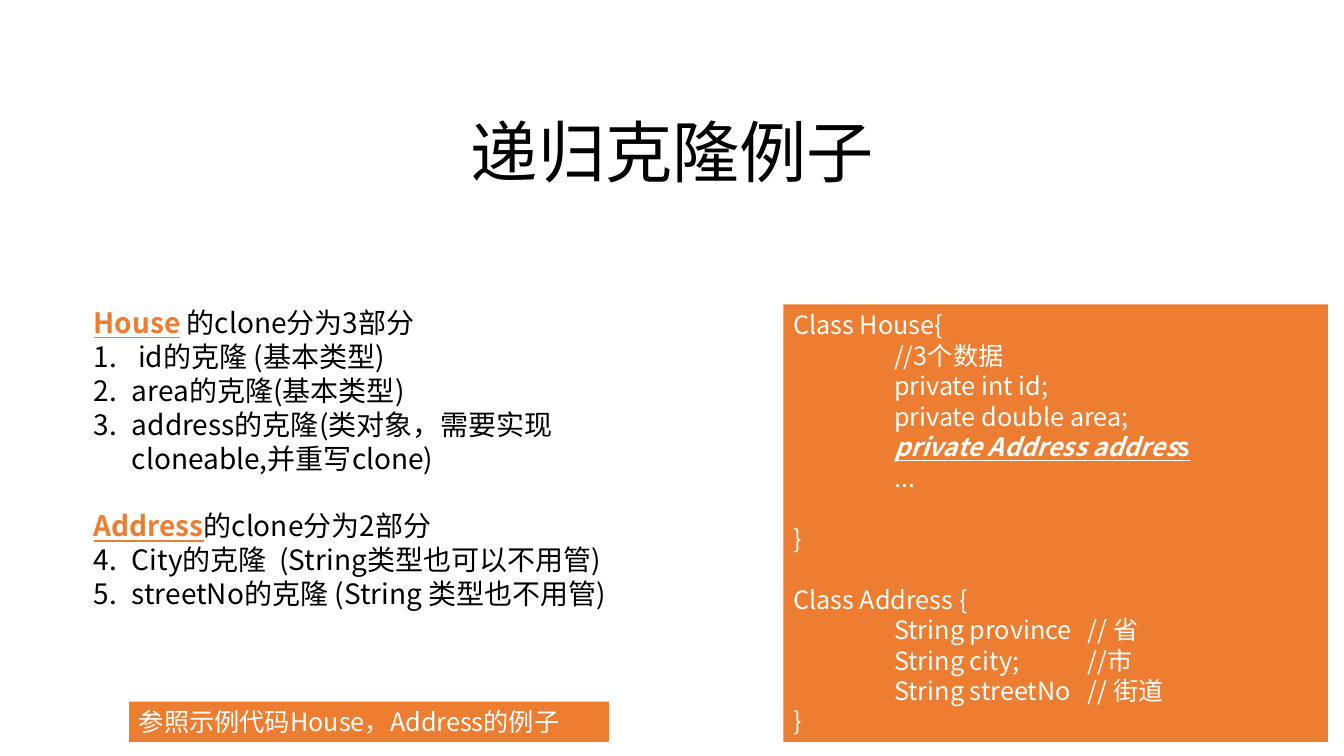
from dataclasses import dataclass

from lxml.etree import SubElement
from pptx import Presentation
from pptx.dml.color import RGBColor
from pptx.enum.shapes import MSO_SHAPE as Preset
from pptx.enum.text import MSO_ANCHOR as Anchor, PP_ALIGN as Align
from pptx.oxml.ns import qn
from pptx.util import Inches, Pt


@dataclass(frozen=True)
class Theme:
    font: str = "Noto Sans CJK SC"
    accent: RGBColor = RGBColor(0xED, 0x7D, 0x31)
    dark: RGBColor = RGBColor(0, 0, 0)
    light: RGBColor = RGBColor(0xFF, 0xFF, 0xFF)
    title_size: int = 48
    body_size: int = 20
    code_size: int = 18
    line_ratio: float = 1.21


THEME = Theme()
HANGING = 0.38
CODE_TABS = (1, 2.92)
CLONE_PARTS = [
    ("House", " 的clone分为3部分",
     [" id的克隆 (基本类型)", "area的克隆(基本类型)",
      "address的克隆(类对象，需要实现cloneable,并重写clone)"]),
    ("Address", "的clone分为2部分",
     ["City的克隆  (String类型也可以不用管)", "streetNo的克隆 (String 类型也不用管)"]),
]
HOUSE_CODE = ["Class House{", "\t//3个数据", "\tprivate int id;",
              "\tprivate double area;", "\t", "\t..."]
ADDRESS_CODE = ["Class Address {", "\tString province\t// 省",
                "\tString city;\t//市", "\tString streetNo\t// 街道", "}"]


def add_span(para, text, size, color, bold=False, italic=False, underline=False):
    span = para.add_run()
    span.text = text
    font = span.font
    font.name, font.size, font.color.rgb = THEME.font, Pt(size), color
    font.bold, font.italic, font.underline = bold, italic, underline
    SubElement(font._element, qn("a:ea"), typeface=THEME.font)


def add_para(frame, text, size, color, gap=False):
    """Append a line of text; gap leaves one line's height above it."""
    first = frame.paragraphs[0]
    para = frame.add_paragraph() if first.runs else first
    height = Pt(size * THEME.line_ratio)
    para.line_spacing = height
    if gap:
        para.space_before = height
    para.alignment = Align.LEFT
    if text:
        add_span(para, text, size, color)
    return para


def number_para(para, start):
    props = para._p.get_or_add_pPr()
    props.set("marL", str(Inches(HANGING)))
    props.set("indent", str(-Inches(HANGING)))
    SubElement(props, qn("a:buFont"), typeface="+mj-lt")
    SubElement(props, qn("a:buAutoNum"), type="arabicPeriod", startAt=str(start))


def set_tabs(para, stops):
    tabs = SubElement(para._p.get_or_add_pPr(), qn("a:tabLst"))
    for stop in stops:
        SubElement(tabs, qn("a:tab"), pos=str(Inches(stop)), algn="l")


def add_text_box(page, left, top, width, height):
    box = page.shapes.add_textbox(*map(Inches, (left, top, width, height)))
    box.text_frame.word_wrap = True
    return box.text_frame


def add_panel(page, left, top, width, height):
    panel = page.shapes.add_shape(
        Preset.RECTANGLE, *map(Inches, (left, top, width, height)))
    panel.shadow.inherit = False
    panel.fill.solid()
    panel.fill.fore_color.rgb = THEME.accent
    panel.line.fill.background()
    panel.text_frame.word_wrap = True
    panel.text_frame.vertical_anchor = Anchor.TOP
    return panel.text_frame


def add_title(page):
    frame = add_text_box(page, 1.89, 1.04, 9.56, 0.91)
    para = add_para(frame, "递归克隆例子", THEME.title_size, THEME.dark)
    para.alignment = Align.CENTER


def add_clone_parts(page):
    frame = add_text_box(page, 0.83, 2.98, 6.14, 3.13)
    frame.margin_right = Inches(0.4)
    size, start = THEME.body_size, 1
    for name, rest, steps in CLONE_PARTS:
        heading = add_para(frame, "", size, THEME.dark, gap=start > 1)
        add_span(heading, name, size, THEME.accent, bold=True, underline=True)
        add_span(heading, rest, size, THEME.dark)
        for step in steps:
            number_para(add_para(frame, step, size, THEME.dark), start)
        start += len(steps)


def add_code(page):
    frame = add_panel(page, 7.77, 3.02, 5.4, 4.34)
    size, color = THEME.code_size, THEME.light
    for line in HOUSE_CODE:
        para = add_para(frame, line, size, color)
        set_tabs(para, CODE_TABS)
        if line == "\t":
            add_span(para, "private Address addres", size, color, True, True, True)
            add_span(para, "s", size, color, bold=True, underline=True)
    add_para(frame, "}", size, color, gap=True)
    for index, line in enumerate(ADDRESS_CODE):
        set_tabs(add_para(frame, line, size, color, gap=index == 0), CODE_TABS)


def add_reference(page):
    frame = add_panel(page, 1.28, 6.96, 4.76, 0.4)
    add_para(frame, "参照示例代码House，Address的例子", THEME.code_size, THEME.light)


def main():
    deck = Presentation()
    deck.slide_width, deck.slide_height = Inches(13.33), Inches(7.5)
    page = deck.slides.add_slide(deck.slide_layouts[6])
    add_title(page)
    add_clone_parts(page)
    add_code(page)
    add_reference(page)
    deck.save("out.pptx")


if __name__ == "__main__":
    main()
